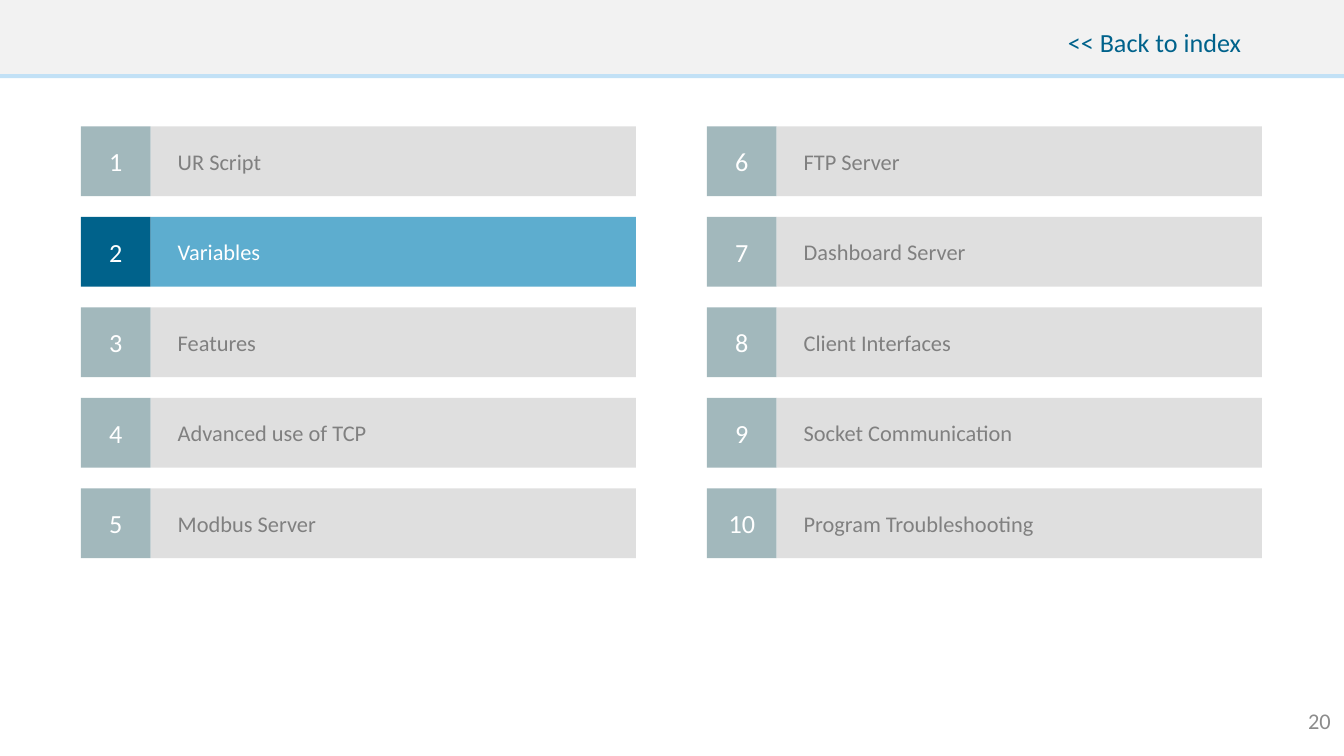
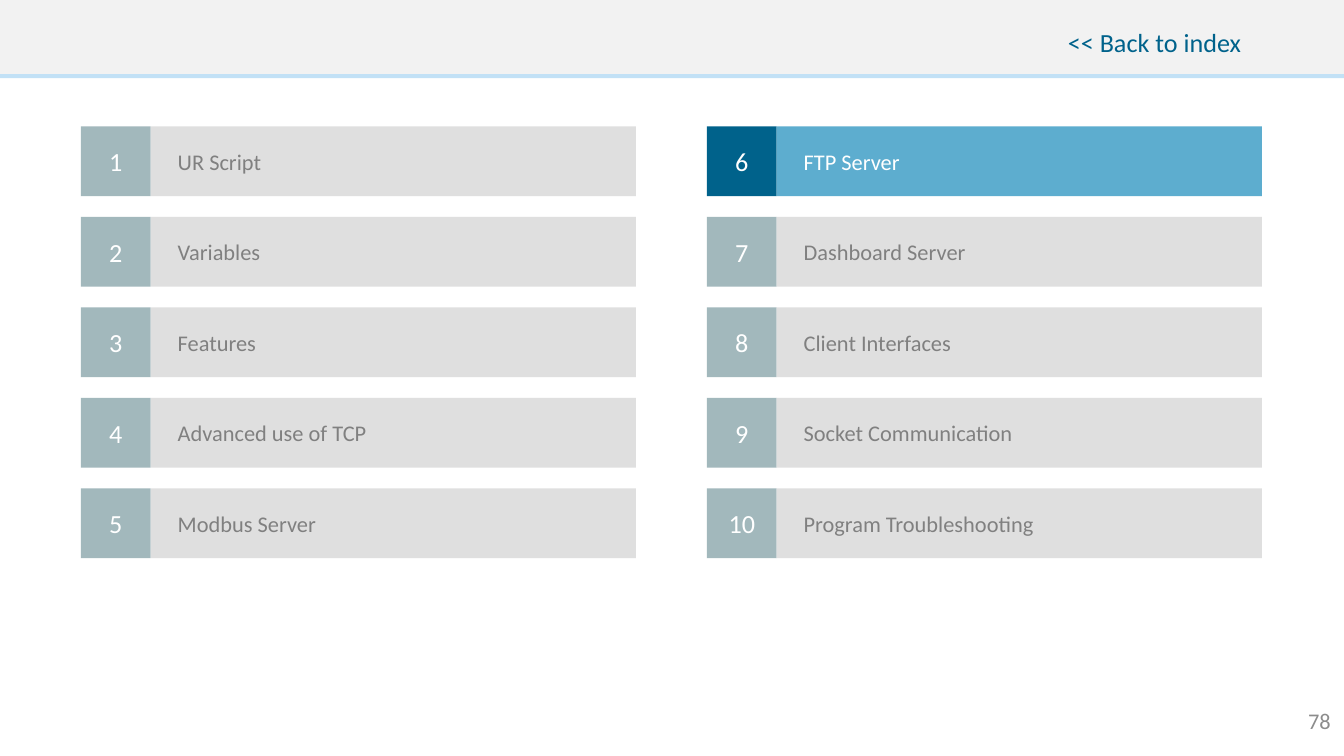
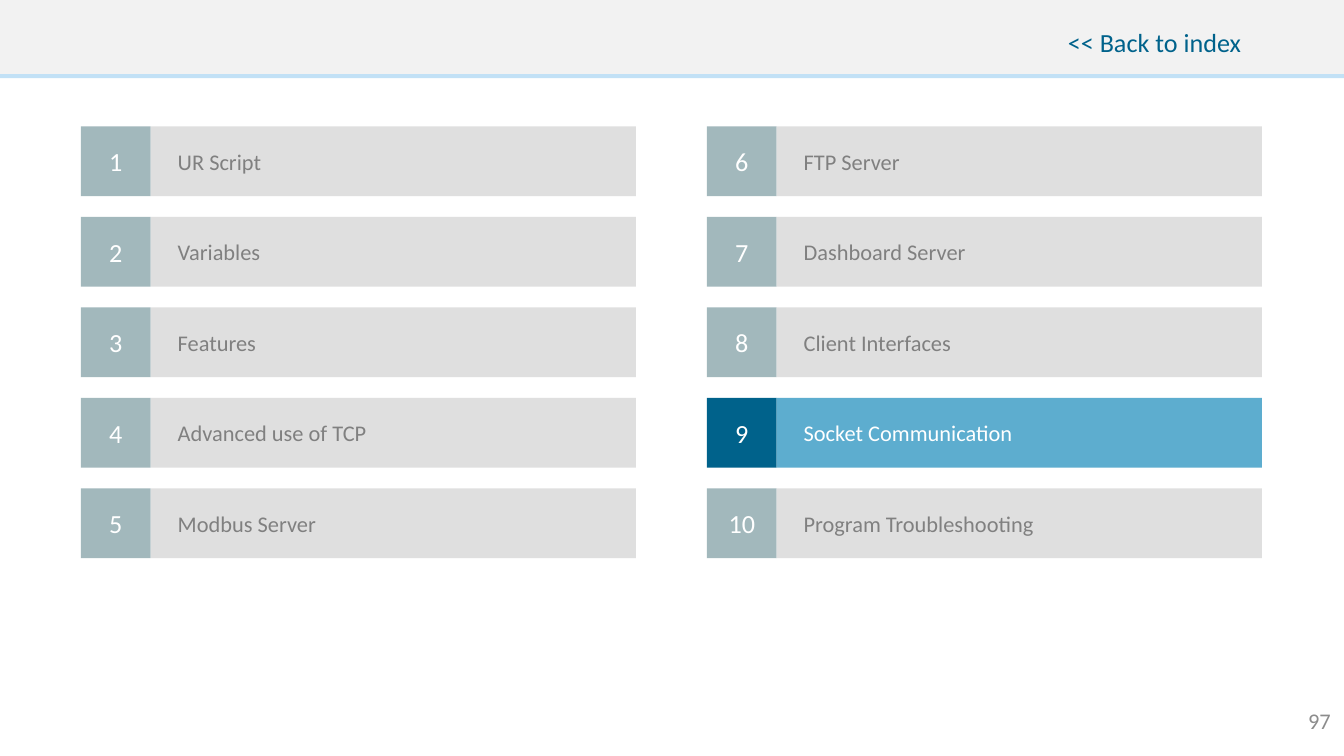
import pptx
import pptx.dml.color
import pptx.enum.shapes
import pptx.enum.text
import pptx.util

Cm, Pt = pptx.util.Cm, pptx.util.Pt
ALIGN = pptx.enum.text.PP_ALIGN
ANCHOR = pptx.enum.text.MSO_ANCHOR

CHAPTERS = [
    "UR Script", "Variables", "Features", "Advanced use of TCP", "Modbus Server",
    "FTP Server", "Dashboard Server", "Client Interfaces",
    "Socket Communication", "Program Troubleshooting",
]
# (page number, chapter that starts there)
DIVIDERS = [(20, 2), (78, 6), (97, 9)]

FONT = "Calibri"
COLORS = {
    "band": "F2F2F2", "band_edge": "C2E1F6", "link": "00628B", "page": "8C8C8C",
    "tile": "A2B8BC", "bar": "DFDFDF", "bar_text": "808080",
    "active_tile": "00628B", "active_bar": "5DADCF", "white": "FFFFFF",
}

SLIDE_W, SLIDE_H = 25.4, 14.29
ROWS = 5
COLUMN_LEFTS = [1.53, 13.36]
TOP, PITCH = 2.39, 1.71
TILE, BAR_W = 1.32, 9.17
BAR_INDENT = 0.51
LINK_RIGHT, LINK_W = 23.46, 4


def rgb(name):
    return pptx.dml.color.RGBColor.from_string(COLORS[name])


def add_rect(slide, left, top, width, height, fill):
    sp = slide.shapes.add_shape(pptx.enum.shapes.MSO_SHAPE.RECTANGLE,
                                Cm(left), Cm(top), Cm(width), Cm(height))
    sp.shadow.inherit = False
    sp.fill.solid()
    sp.fill.fore_color.rgb = rgb(fill)
    sp.line.fill.background()
    return sp


def set_text(sp, text, size, color, align, anchor=ANCHOR.MIDDLE):
    tf = sp.text_frame
    tf.text = text
    tf.word_wrap = True
    tf.vertical_anchor = anchor
    p = tf.paragraphs[0]
    p.alignment = align
    font = p.runs[0].font
    font.name, font.size, font.color.rgb = FONT, Pt(size), rgb(color)
    return tf


def clear_margins(tf):
    tf.margin_left = tf.margin_top = tf.margin_right = tf.margin_bottom = 0


def add_frame(slide, page):
    """Header band, index link and page number."""
    add_rect(slide, 0, 0, SLIDE_W, 1.48, "band_edge")
    add_rect(slide, 0, 0, SLIDE_W, 1.4, "band")
    link = slide.shapes.add_textbox(Cm(LINK_RIGHT - LINK_W), 0, Cm(LINK_W), Cm(1.09))
    clear_margins(set_text(link, "<< Back to index", 14, "link",
                           ALIGN.RIGHT, ANCHOR.BOTTOM))
    number = slide.shapes.add_textbox(Cm(22.86), Cm(13.24), Cm(2.54), Cm(0.76))
    set_text(number, str(page), 12, "page", ALIGN.RIGHT)


def add_chapter(slide, number, name, active):
    column, row = divmod(number - 1, ROWS)
    left, top = COLUMN_LEFTS[column], TOP + row * PITCH
    tile_fill, bar_fill, bar_text = (
        ("active_tile", "active_bar", "white") if active
        else ("tile", "bar", "bar_text"))

    tile = add_rect(slide, left, top, TILE, TILE, tile_fill)
    clear_margins(set_text(tile, str(number), 14, "white", ALIGN.CENTER))

    bar = add_rect(slide, left + TILE, top, BAR_W, TILE, bar_fill)
    tf = set_text(bar, name, 12, bar_text, ALIGN.LEFT)
    clear_margins(tf)
    tf.margin_left = Cm(BAR_INDENT)


def main():
    prs = pptx.Presentation()
    prs.slide_width, prs.slide_height = Cm(SLIDE_W), Cm(SLIDE_H)
    blank = prs.slide_layouts.get_by_name("Blank")
    for page, current in DIVIDERS:
        slide = prs.slides.add_slide(blank)
        add_frame(slide, page)
        for number, name in enumerate(CHAPTERS, 1):
            add_chapter(slide, number, name, number == current)
    prs.save("out.pptx")


if __name__ == "__main__":
    main()
